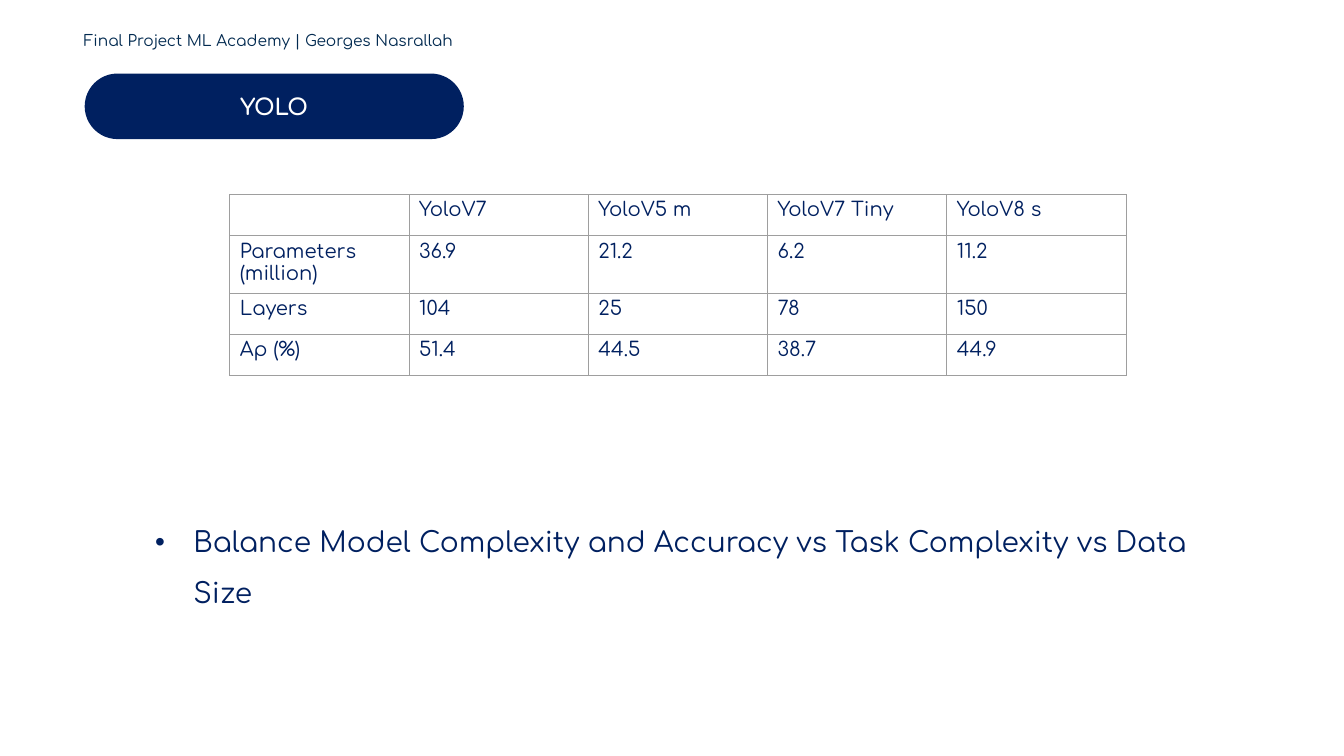
from lxml import etree
from pptx import Presentation
from pptx.dml.color import RGBColor
from pptx.enum import shapes, text
from pptx.oxml import ns
from pptx import util as u

HUES = {"navy": "002060", "ink": "022A50", "white": "FFFFFF", "rule": "9E9E9E"}
FACE = "Comfortaa"

deck = Presentation()
deck.slide_width = u.Inches(13.33)
deck.slide_height = u.Inches(7.5)
slide = deck.slides.add_slide(deck.slide_layouts[6])
col = deck.slide_width / 100
row = deck.slide_height / 100


def area(x, y, w, h):
    return [round(n) for n in (x * col, y * row, w * col, h * row)]


def style(frame, size, hue, bold=False):
    for para in frame.paragraphs:
        para.font.size = u.Pt(size)
        for run in para.runs:
            run.font.size = u.Pt(size)
            run.font.name = FACE
            run.font.bold = bold
            run.font.color.rgb = RGBColor.from_string(HUES[hue])


pill = slide.shapes.add_shape(
    shapes.MSO_SHAPE.ROUNDED_RECTANGLE, *area(6.3, 9.73, 28.21, 8.67))
pill.adjustments[0] = 0.5
pill.shadow.inherit = False
pill.fill.solid()
pill.fill.fore_color.rgb = RGBColor.from_string(HUES["navy"])
pill.line.fill.background()
title = pill.text_frame
title.text = "YOLO"
title.vertical_anchor = text.MSO_ANCHOR.MIDDLE
title.paragraphs[0].alignment = text.PP_ALIGN.CENTER
style(title, 16, "white", True)

note = slide.shapes.add_textbox(*area(7.05, 59.2, 86.65, 30)).text_frame
note.word_wrap = True
note.margin_left = note.margin_right = note.margin_bottom = u.Inches(0.1)
note.margin_top = u.Inches(0.6)
note.text = "Balance Model Complexity and Accuracy vs Task Complexity vs Data Size"
point = note.paragraphs[0]
point.line_spacing = 1.5
style(note, 20, "navy")
props = point._p.get_or_add_pPr()
props.set("marL", str(u.Inches(0.88)))
props.set("indent", str(u.Inches(-0.38)))
tint = etree.SubElement(props, ns.qn("a:buClr"))
etree.SubElement(tint, ns.qn("a:srgbClr"), val=HUES["navy"])
etree.SubElement(props, ns.qn("a:buFont"), typeface="Arial")
etree.SubElement(props, ns.qn("a:buChar"), char="•")

head = slide.shapes.add_textbox(*area(-0.38, 4.13, 40.74, 4.53)).text_frame
head.word_wrap = True
head.margin_left = head.margin_right = head.margin_top = head.margin_bottom = 0
head.text = "Final Project ML Academy | Georges Nasrallah"
head.paragraphs[0].alignment = text.PP_ALIGN.CENTER
style(head, 11, "ink")

data = [
    ["", "YoloV7", "YoloV5 m", "YoloV7 Tiny", "YoloV8 s"],
    ["Parameters\n(million)", "36.9", "21.2", "6.2", "11.2"],
    ["Layers", "104", "25", "78", "150"],
    ["Ap (%)", "51.4", "44.5", "38.7", "44.9"],
]
table = slide.shapes.add_table(
    len(data), len(data[0]), *area(17.1, 25.73, 66.69, 23.61)).table
table.first_row = table.horz_banding = False
for band, share in zip(table.rows, (5.47, 7.2, 5.47, 5.47)):
    band.height = round(share * row)

for r, line in enumerate(data):
    for c, word in enumerate(line):
        cell = table.cell(r, c)
        cell.text_frame.text = word
        style(cell.text_frame, 14, "navy")
        props = cell._tc.get_or_add_tcPr()
        for side in ("lnL", "lnR", "lnT", "lnB"):
            edge = etree.SubElement(props, ns.qn("a:" + side), w=str(u.Pt(0.75)))
            fill = etree.SubElement(edge, ns.qn("a:solidFill"))
            etree.SubElement(fill, ns.qn("a:srgbClr"), val=HUES["rule"])
        cell.fill.background()

deck.save("out.pptx")
